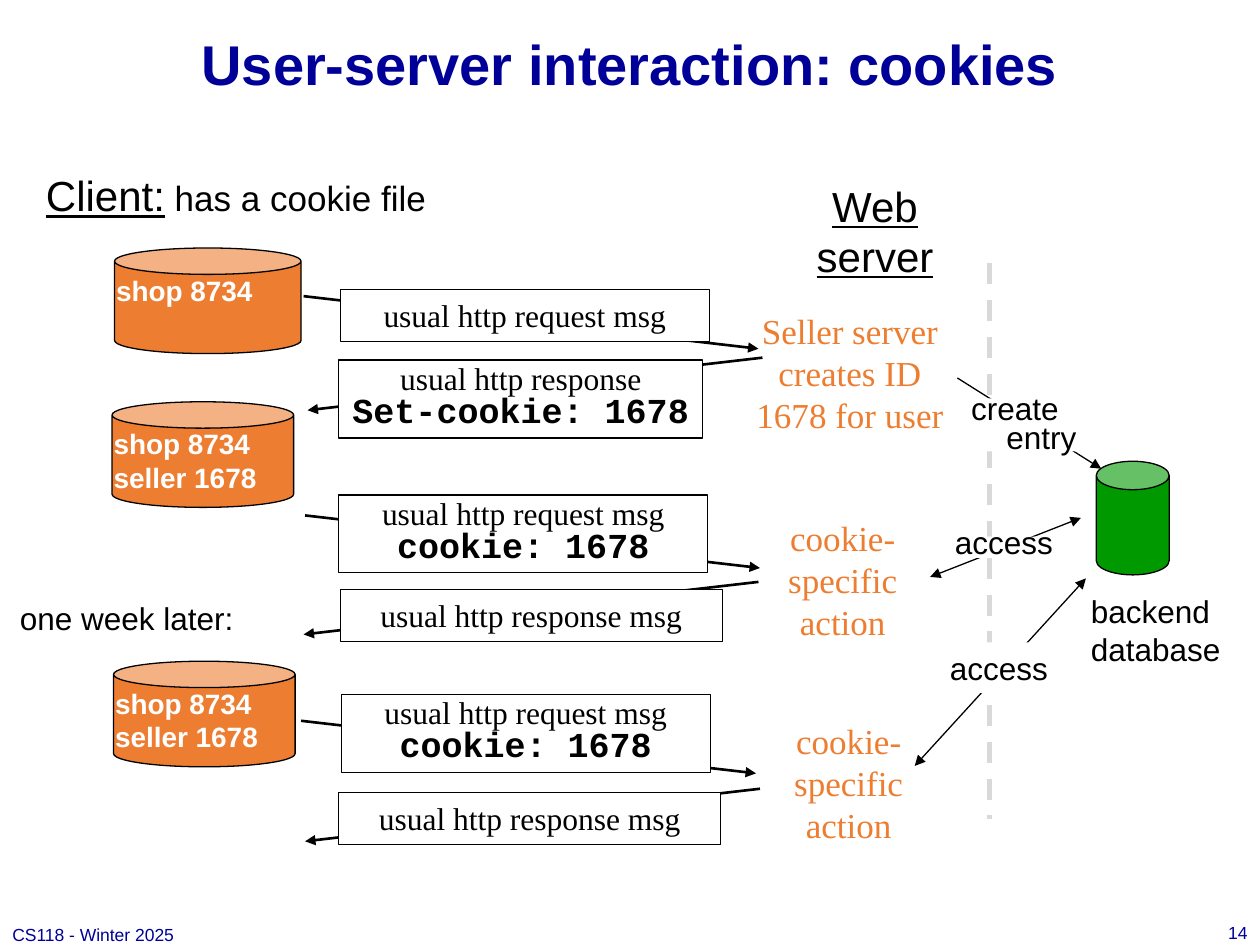
from lxml.etree import SubElement
from pptx import Presentation
from pptx.dml.color import RGBColor
from pptx.enum.dml import MSO_LINE
from pptx.enum.shapes import MSO_CONNECTOR, MSO_SHAPE
from pptx.enum.text import MSO_ANCHOR as Anchor, PP_ALIGN as Align
from pptx.oxml.ns import qn
from pptx.util import Cm, Pt

COLORS = {"navy": "000099", "black": "000000", "white": "FFFFFF",
          "orange": "ED7D31", "green": "009900", "gray": "D9D9D9"}
SANS, SERIF, MONO = "Arial", "Times New Roman", "Courier New"


def color(name):
    """Return the named palette colour."""
    return RGBColor.from_string(COLORS[name])


def style_run(run, size, font=SANS, ink="black", bold=False, underline=False):
    """Format one run of text."""
    run.font.size, run.font.name = Pt(size), font
    run.font.bold, run.font.underline = bold, underline
    run.font.color.rgb = color(ink)


def write(shape, lines, size, font=SANS, ink="black", bold=False,
          align=Align.LEFT, anchor=Anchor.TOP, spacing=None):
    """Fill a shape with evenly formatted lines."""
    frame = shape.text_frame
    frame.text = "\n".join(lines)
    frame.word_wrap, frame.vertical_anchor = True, anchor
    for paragraph in frame.paragraphs:
        paragraph.alignment = align
        if spacing:
            paragraph.line_spacing = spacing
        for run in paragraph.runs:
            style_run(run, size, font, ink, bold)
    return frame


def add_text(slide, box, lines, size, **look):
    """Add a text box with formatted lines."""
    return write(slide.shapes.add_textbox(*map(Cm, box)), lines, size, **look)


def add_block(slide, kind, box, fill, outlined=True):
    """Add a filled preset shape with an optional thin outline."""
    shape = slide.shapes.add_shape(kind, *map(Cm, box))
    shape.shadow.inherit = False
    shape.fill.solid()
    shape.fill.fore_color.rgb = color(fill)
    if outlined:
        shape.line.color.rgb = color("black")
        shape.line.width = Pt(0.75)
    else:
        shape.line.fill.background()
    return shape


def add_line(slide, start, end, width, ink="black", ends=(), dash=None):
    """Add a straight line with arrowheads at the given ends."""
    connector = slide.shapes.add_connector(
        MSO_CONNECTOR.STRAIGHT, *map(Cm, (*start, *end)))
    connector.line.color.rgb = color(ink)
    connector.line.width = Pt(width)
    if dash:
        connector.line.dash_style = dash
    properties = connector._element.spPr
    for name in ends:
        SubElement(properties.find(qn("a:ln")), qn(f"a:{name}"), type="triangle")
    SubElement(properties, qn("a:effectLst"))


def add_header(slide, box):
    """Place the title and the headings of the two sides."""
    left, top, width, height = box
    title = slide.shapes.title
    title.left, title.top, title.width, title.height = map(Cm, box)
    write(title, ["User-server interaction: cookies"], 32, ink="navy",
          bold=True, align=Align.CENTER, anchor=Anchor.MIDDLE)
    client = add_text(slide, (left + 0.58, top + 3.3, 8.36, 1.27),
                      ["Client:"], 24, align=Align.CENTER).paragraphs[0]
    client.runs[0].font.underline = True
    note = client.add_run()
    note.text = " has a cookie file"
    style_run(note, 20)
    server = add_text(slide, (left + 15.99, top + 3.51, 3.3, 2.3),
                      ["Web server"], 24, align=Align.CENTER)
    server.paragraphs[0].runs[0].font.underline = True


def add_footer(slide, box):
    """Place the course name and the page number."""
    left, top, width, height = box
    look = {"ink": "navy", "anchor": Anchor.MIDDLE}
    add_text(slide, (left, top + 0.04, 5, height), ["CS118 - Winter 2025"], 10, **look)
    add_text(slide, (left + width - 2, top, 2, height), ["14"], 10,
             align=Align.RIGHT, **look)


def add_cookie_file(slide, box, lines):
    """Draw the client's cookie file with its entries."""
    left, top, width, height = box
    add_block(slide, MSO_SHAPE.CAN, box, "orange")
    add_text(slide, (left - 0.22, top + 0.38, 4.42, 1.63), lines, 16,
             ink="white", bold=True)


def add_message(slide, box, arrow, text, header=None, reply=False):
    """Draw a message label over its arrow, offset from the label's corner."""
    left, right = box[0] + arrow[0], box[0] + arrow[0] + 9.17
    top = box[1] + arrow[1]
    start, end = (right, left) if reply else (left, right)
    add_line(slide, (start, top), (end, top + 1.06), 1.5, ends=["tailEnd"])
    label = add_block(slide, MSO_SHAPE.RECTANGLE, box, "white")
    lines = [text, header] if header else [text]
    frame = write(label, lines, 18, SERIF, align=Align.CENTER,
                  spacing=0.8 if header else None)
    if header:
        style_run(frame.paragraphs[1].runs[0], 20, MONO, bold=True)


def add_database(slide, box):
    """Draw the backend database with its caption."""
    left, top, width, height = box
    can = add_block(slide, MSO_SHAPE.CAN, box, "green")
    can.adjustments[0] = 0.39
    add_text(slide, (left - 0.36, top + 2.51, 3.4, 1.78), ["backend", "database"], 18)


def add_link(slide, start, end, mask, box, lines, ends, spacing=None):
    """Draw a database link with a label that interrupts it."""
    add_line(slide, start, end, 0.75, ends=ends)
    add_block(slide, MSO_SHAPE.RECTANGLE, mask, "white", outlined=False)
    return add_text(slide, box, lines, 18, spacing=spacing)


def main():
    """Build and save the slide."""
    presentation = Presentation()
    presentation.slide_width, presentation.slide_height = Cm(25.4), Cm(19.05)
    slide = presentation.slides.add_slide(presentation.slide_layouts[5])

    add_line(slide, (19.94, 5.31), (19.94, 16.51), 3, "gray", dash=MSO_LINE.DASH)
    add_header(slide, (0, 0, 25.4, 2.54))
    add_footer(slide, (0, 18.54, 25.4, 0.51))

    request, response = "usual http request msg", "usual http response msg"
    cookie = "cookie: 1678"
    messages = [
        ((6.86, 5.84, 7.44, 1.04), (-0.74, 0.13), request, None, False),
        ((6.83, 7.26, 7.34, 1.57), (-0.63, -0.05), "usual http response",
         "Set-cookie: 1678", True),
        ((6.83, 9.98, 7.44, 1.57), (-0.68, 0.41), request, cookie, False),
        ((6.86, 11.89, 7.7, 1.04), (-0.74, -0.16), response, None, True),
        ((6.88, 14, 7.44, 1.57), (-0.81, 0.53), request, cookie, False),
        ((6.83, 15.98, 7.7, 1.04), (-0.68, -0.08), response, None, True),
    ]
    for message in messages:
        add_message(slide, *message)

    first, second = "shop 8734", "seller 1678"
    add_cookie_file(slide, (2.31, 5, 3.76, 2.13), [first])
    add_cookie_file(slide, (2.26, 8.1, 3.66, 2.13), [first, second])
    add_cookie_file(slide, (2.29, 13.33, 3.66, 2.13), [first, second])
    add_text(slide, (0.15, 11.96, 5.2, 1.02), ["one week later:"], 18)

    specific = ["cookie-", "specific", "action"]
    actions = [
        ((14.43, 6.12, 5.41, 2.8), ["Seller server", "creates ID", "1678 for user"]),
        ((15.44, 10.29, 3.1, 2.8), specific),
        ((15.75, 14.38, 2.72, 2.8), specific),
    ]
    for box, lines in actions:
        add_text(slide, box, lines, 20, font=SERIF, ink="orange", align=Align.CENTER)

    create = add_link(slide, (19.3, 7.62), (22.2, 9.45), (19.71, 8.03, 2.67, 1.07),
                      (19.33, 7.9, 3.25, 1.4), ["create", "entry"], ["tailEnd"], 0.75)
    create.paragraphs[1]._p.get_or_add_pPr().set("marL", str(Cm(0.71)))
    both = ["headEnd", "tailEnd"]
    add_link(slide, (18.75, 11.63), (21.79, 10.44), (19.43, 10.82, 1.7, 0.43),
             (19, 10.41, 2.51, 1.02), ["access"], both)
    label = (18.9, 12.95, 2.51, 1.02)
    add_link(slide, (18.44, 15.44), (21.89, 11.66), label, label, ["access"], both)
    add_database(slide, (22.1, 9.3, 1.47, 2.29))

    presentation.save("out.pptx")


if __name__ == "__main__":
    main()
